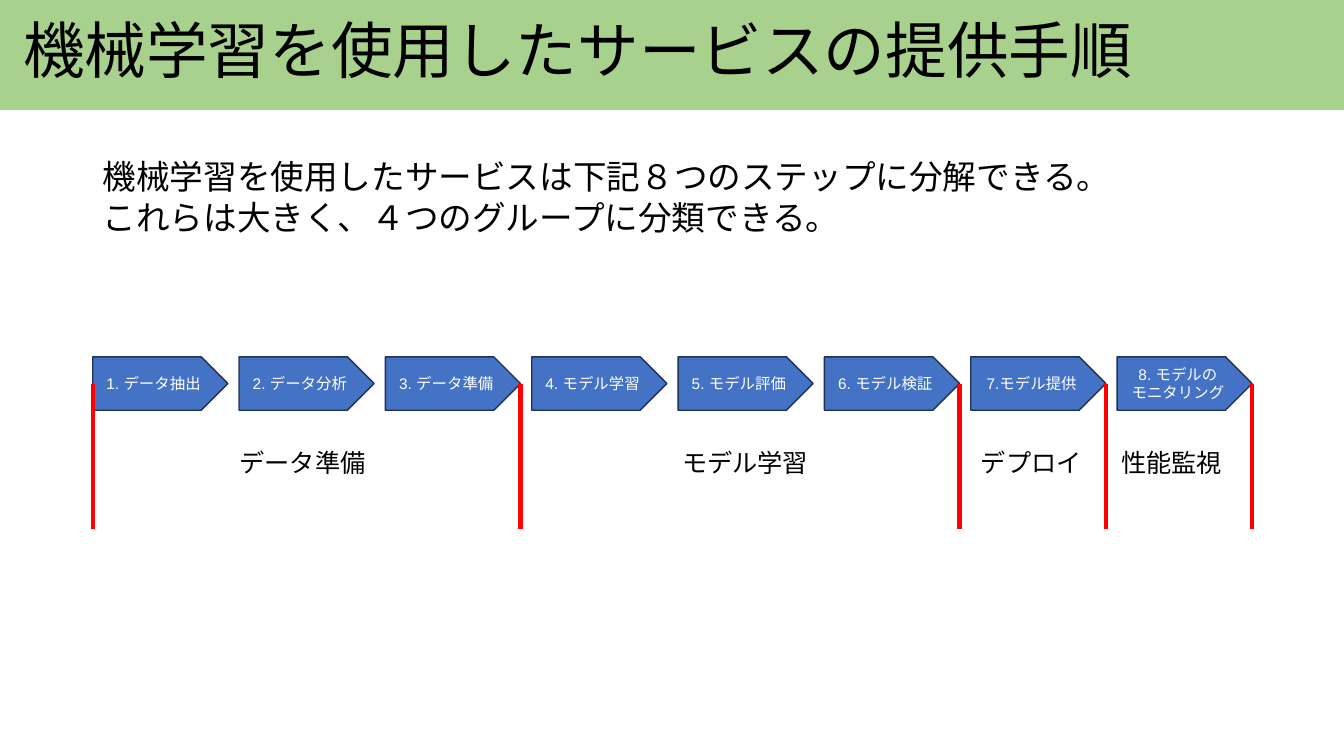
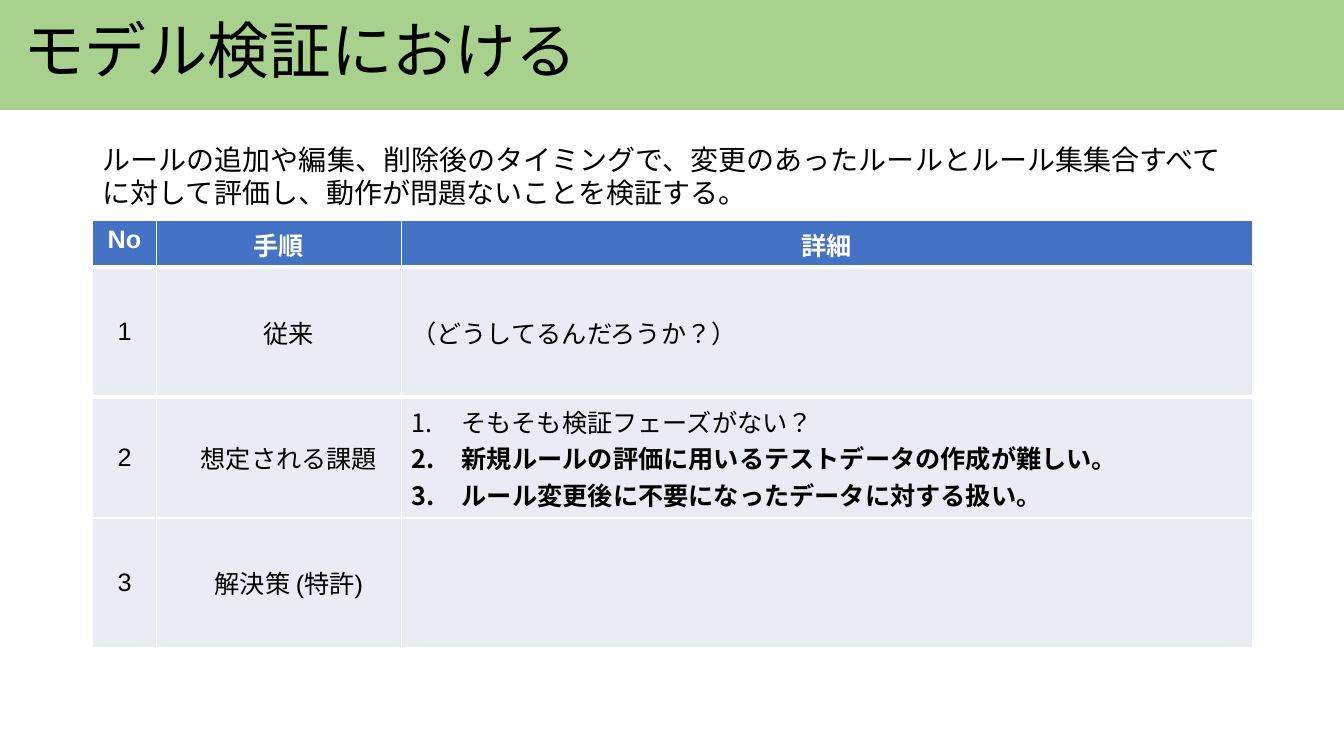
import pptx
import pptx.util
import pptx.dml.color
import pptx.enum.lang
import pptx.enum.shapes
import pptx.enum.text
import pptx.oxml
import pptx.oxml.ns

SHAPE = pptx.enum.shapes.MSO_SHAPE
ALIGN = pptx.enum.text.PP_ALIGN
ANCHOR = pptx.enum.text.MSO_ANCHOR

PX = 9144  # 100 px to the inch
FONT = "Arial"
BLACK, WHITE = "000000", "FFFFFF"
GREEN, BLUE, NAVY, RED, PALE = "A9D18E", "4472C4", "1E3256", "FF0000", "E9EBF5"

SLIDE_W, SLIDE_H = 1333, 750
LEFT, CONTENT_W = 92, 1150
STEP_TOP, STEP_W, STEP_H = 354, 134, 53
DIVIDER_H = 144
LABEL_TOP, LABEL_W, LABEL_H = 439, 160, 40

STEPS = ["1. データ抽出", "2. データ分析", "3. データ準備", "4. モデル学習",
         "5. モデル評価", "6. モデル検証", "7.モデル提供", "8. モデルの\vモニタリング"]
# Name, last step and label centre of each group
GROUPS = [("データ準備", 3, 300), ("モデル学習", 6, 739),
          ("デプロイ", 7, 1023), ("性能監視", 8, 1162)]

COLUMNS = [63, 243, 844]
ROWS = [46, 129, 120, 128]
HEADER = ["No", "手順", "詳細"]
ISSUES = [("そもそも検証フェーズがない？", False),
          ("新規ルールの評価に用いるテストデータの作成が難しい。", True),
          ("ルール変更後に不要になったデータに対する扱い。", True)]
PROCEDURES = [("従来", [("（どうしてるんだろうか？）", False)]),
              ("想定される課題", ISSUES),
              ("解決策 (特許)", [])]


def px(n):
    return pptx.util.Emu(round(n * PX))


def rgb(color):
    return pptx.dml.color.RGBColor.from_string(color)


def set_all(obj, values):
    for name, value in values.items():
        setattr(obj, name, value)


def new_element(tag, **attrs):
    element = pptx.oxml.parse_xml(f"<a:{tag} {pptx.oxml.ns.nsdecls('a')}/>")
    for name, value in attrs.items():
        element.set(name, value)
    return element


def add_text(p, text, size, color, bold=False, east_asian=True):
    """Add text, broken at each vertical tab; east_asian names the Japanese font too."""
    for i, part in enumerate(text.split("\v")):
        if i:
            p.add_line_break()
        r = p.add_run()
        r.text = part
        set_all(r.font, {"size": pptx.util.Pt(size), "bold": bold, "name": FONT,
                         "language_id": pptx.enum.lang.MSO_LANGUAGE_ID.JAPANESE})
        r.font.color.rgb = rgb(color)
        if east_asian:
            r._r.get_or_add_rPr().append(new_element("ea", typeface=FONT))


def get_paragraph(tf, i):
    return tf.add_paragraph() if i else tf.paragraphs[0]


def fill_frame(tf, lines, size, color=BLACK, anchor=ANCHOR.TOP, **paragraph):
    set_all(tf, {"word_wrap": True, "vertical_anchor": anchor})
    for i, line in enumerate(lines):
        p = get_paragraph(tf, i)
        set_all(p, paragraph)
        add_text(p, line, size, color)


def add_textbox(s, box, lines, size, **options):
    sp = s.shapes.add_textbox(*map(px, box))
    fill_frame(sp.text_frame, lines, size, **options)


def add_block(s, kind, box, fill, line=None):
    sp = s.shapes.add_shape(kind, *map(px, box))
    sp.shadow.inherit = False
    sp.fill.solid()
    sp.fill.fore_color.rgb = rgb(fill)
    if line:
        sp.line.color.rgb = rgb(line)
        sp.line.width = pptx.util.Pt(1)
    else:
        sp.line.fill.background()
    return sp


def add_divider(s, x):
    top = STEP_TOP + STEP_H / 2
    line = s.shapes.add_connector(pptx.enum.shapes.MSO_CONNECTOR.STRAIGHT,
                                  px(x), px(top), px(x), px(top + DIVIDER_H))
    line.line.color.rgb = rgb(RED)
    line.line.width = pptx.util.Pt(3)
    line._element.spPr.append(new_element("effectLst"))


def add_slide(prs, title):
    s = prs.slides.add_slide(prs.slide_layouts[6])
    add_block(s, SHAPE.RECTANGLE, (0, -3, SLIDE_W, 112), GREEN)
    add_textbox(s, (13, 19, 1219, 69), [title], 44,
                anchor=ANCHOR.MIDDLE, line_spacing=0.9)
    return s


def add_body(s, top, lines, size):
    add_textbox(s, (LEFT, top, CONTENT_W, 103), lines, size)


def add_steps(s):
    pitch = (CONTENT_W - STEP_W) / (len(STEPS) - 1)
    for i, step in enumerate(STEPS):
        box = (LEFT + i * pitch, STEP_TOP, STEP_W, STEP_H)
        sp = add_block(s, SHAPE.PENTAGON, box, BLUE, NAVY)
        fill_frame(sp.text_frame, [step], 11, color=WHITE,
                   anchor=ANCHOR.MIDDLE, alignment=ALIGN.CENTER)
    add_divider(s, LEFT)
    for name, last, centre in GROUPS:
        add_divider(s, LEFT + (last - 1) * pitch + STEP_W)
        add_textbox(s, (centre - LABEL_W / 2, LABEL_TOP, LABEL_W, LABEL_H),
                    [name], 18, alignment=ALIGN.CENTER)


def set_border(cell, side, color, width):
    """Draw one cell side, named by its tag: lnL, lnR, lnT or lnB."""
    ln = new_element(side, w=str(pptx.util.Pt(width)))
    fill = new_element("solidFill")
    fill.append(new_element("srgbClr", val=color))
    ln.append(fill)
    cell._tc.get_or_add_tcPr().insert(0, ln)


def fill_cell(cell, lines, fill, color=BLACK, anchor=ANCHOR.MIDDLE,
              align=ALIGN.CENTER, indent=0):
    """Fill a cell with (text, bold) lines; several lines are numbered."""
    cell.fill.solid()
    cell.fill.fore_color.rgb = rgb(fill)
    cell.vertical_anchor = anchor
    for i, (text, bold) in enumerate(lines):
        p = get_paragraph(cell.text_frame, i)
        p.alignment = align
        pPr = p._p.get_or_add_pPr()
        if len(lines) > 1:
            pPr.set("marL", str(px(50)))
            pPr.set("indent", str(px(-50)))
            pPr.append(new_element("buAutoNum", type="arabicPeriod"))
        elif indent:
            pPr.set("marL", str(px(indent)))
        add_text(p, text, 18, color, bold, east_asian=False)


def add_procedure_table(s):
    box = (LEFT, 219, CONTENT_W, sum(ROWS))
    table = s.shapes.add_table(len(ROWS), len(COLUMNS), *map(px, box)).table
    for column, width in zip(table.columns, COLUMNS):
        column.width = px(width)
    for row, height in zip(table.rows, ROWS):
        row.height = px(height)
    for i, heading in enumerate(HEADER):
        fill_cell(table.cell(0, i), [(heading, True)], BLUE, WHITE, ANCHOR.TOP)
        set_border(table.cell(0, i), "lnB", WHITE, 3)
    for i, (name, details) in enumerate(PROCEDURES, 1):
        fill_cell(table.cell(i, 0), [(str(i), False)], PALE)
        fill_cell(table.cell(i, 1), [(name, False)], PALE, indent=20)
        fill_cell(table.cell(i, 2), details, PALE, align=ALIGN.LEFT)
    for cell in table.rows[1].cells:
        set_border(cell, "lnT", WHITE, 3)


def main():
    prs = pptx.Presentation()
    set_all(prs, {"slide_width": px(SLIDE_W), "slide_height": px(SLIDE_H)})

    s = add_slide(prs, "機械学習を使用したサービスの提供手順")
    add_body(s, 150, ["機械学習を使用したサービスは下記８つのステップに分解できる。",
                      "これらは大きく、４つのグループに分類できる。"], 24)
    add_steps(s)

    s = add_slide(prs, "モデル検証における")
    add_body(s, 136, ["ルールの追加や編集、削除後のタイミングで、変更のあったルールと"
                      "ルール集集合すべてに対して評価し、動作が問題ないことを検証する。"], 20)
    add_procedure_table(s)

    prs.save("out.pptx")


if __name__ == "__main__":
    main()
